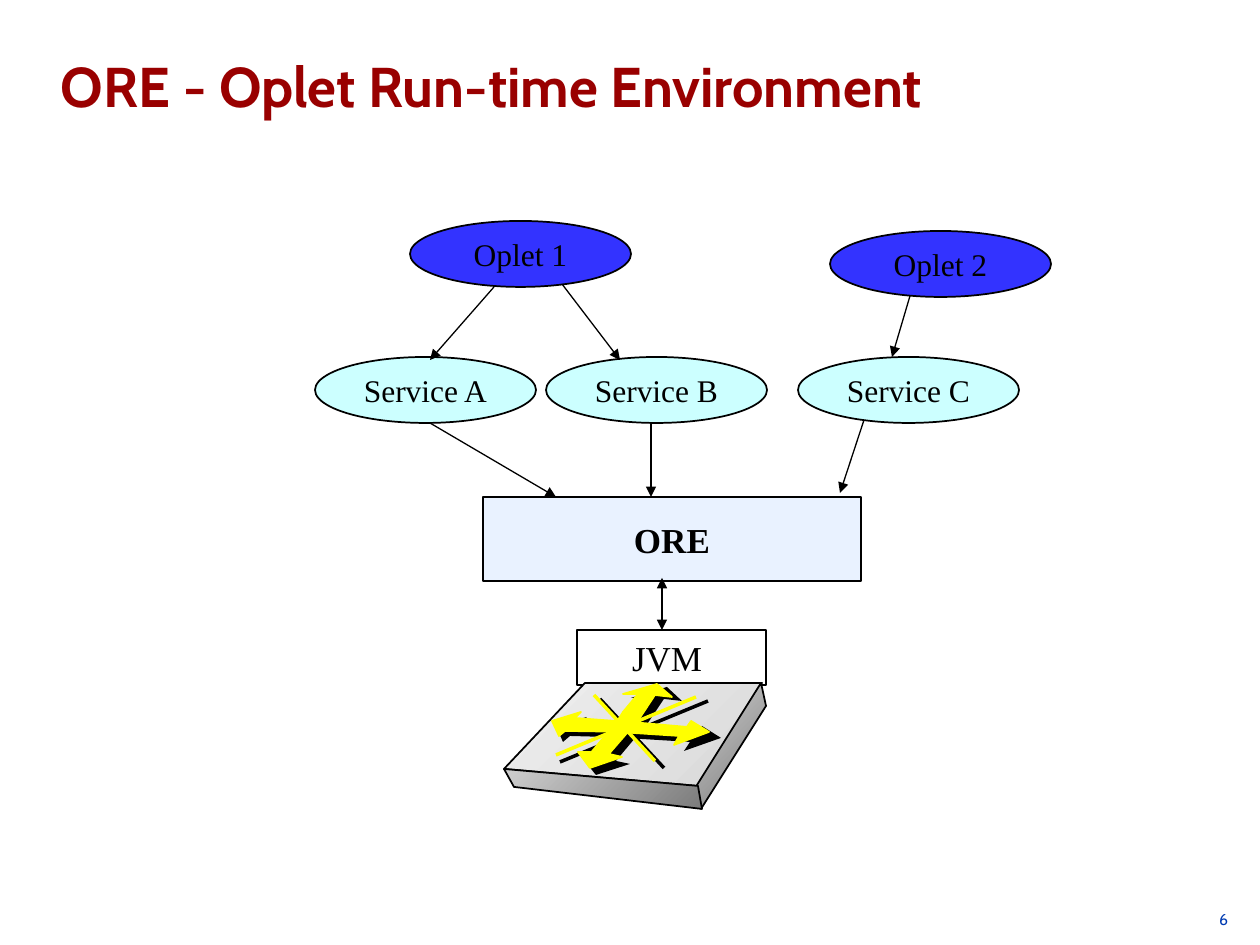
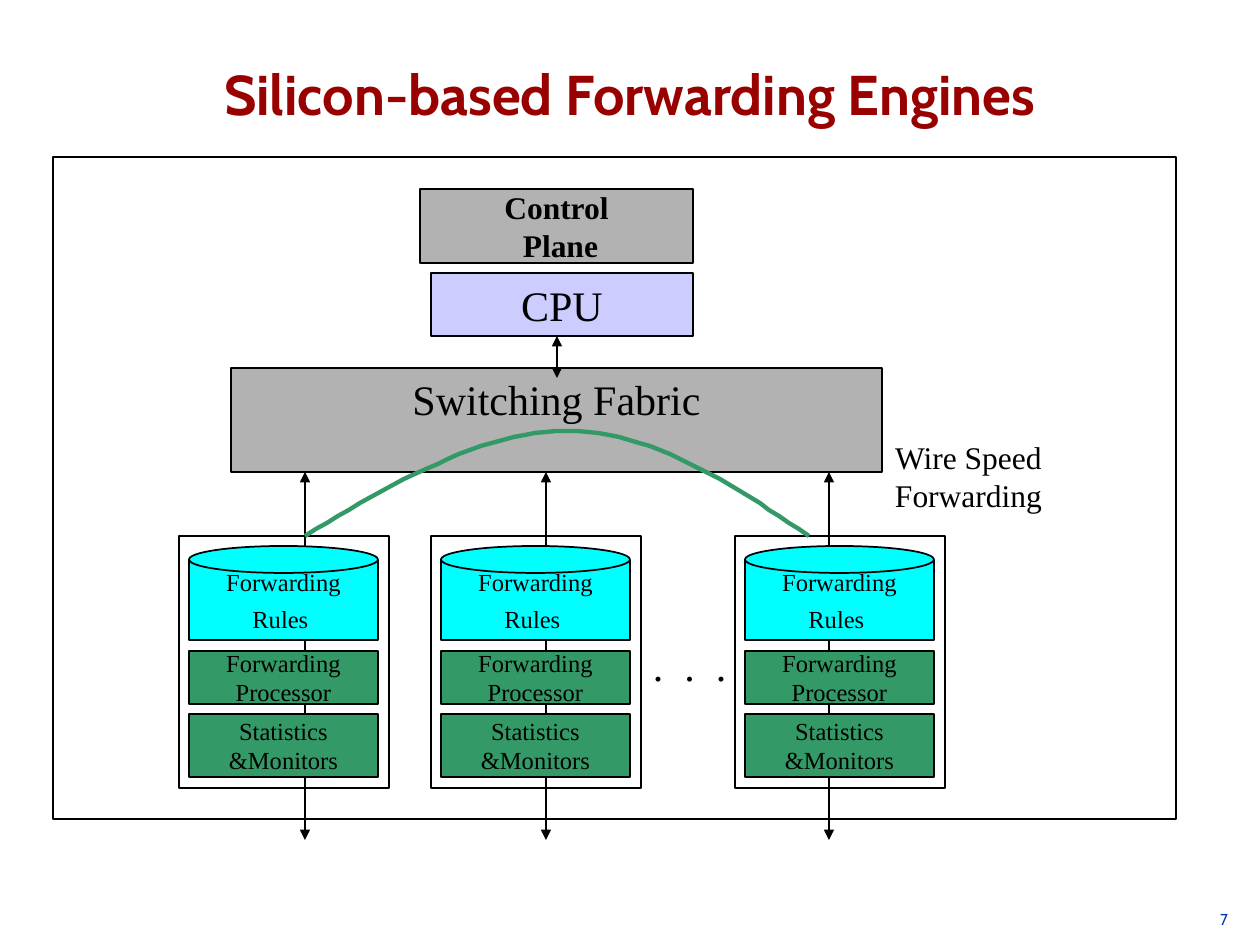
from lxml.etree import SubElement
from pptx import Presentation
from pptx.dml.color import RGBColor
from pptx.enum.shapes import MSO_CONNECTOR, MSO_SHAPE
from pptx.enum.text import MSO_ANCHOR, PP_ALIGN
from pptx.oxml.ns import qn
from pptx.util import Pt

SCALE = 914400 / 126  # EMU in one px
WIDE, HIGH = 1260, 945
HEX = {
    "title": "990000", "page": "003BB2", "black": "000000",
    "oplet": "3333FF", "service": "CCFFFF", "ore": "E9F2FF",
    "gray": "B2B2B2", "cpu": "CCCCFF", "rules": "00FFFF",
    "green": "339966", "yellow": "FFFF00",
}
LID, EDGE = ("F0F0F0", "D8D8D8"), ("CECECE", "7C7C7C")
HEAD, BODY = "Cabin", "Times New Roman"
ALIGN = {"l": PP_ALIGN.LEFT, "c": PP_ALIGN.CENTER, "r": PP_ALIGN.RIGHT}
ANCHOR = {"t": MSO_ANCHOR.TOP, "m": MSO_ANCHOR.MIDDLE, "b": MSO_ANCHOR.BOTTOM}


def emu(px):
    return round(px * SCALE)


def write(frame, text, size=18, font=BODY, color="black", bold=False, align="c",
          anchor="m", wrap=False, inset=(13, 6), lead=None, gap=0, track=0):
    """Fill a text frame, one paragraph for each line of text."""
    frame.word_wrap = wrap
    frame.vertical_anchor = ANCHOR[anchor]
    frame.margin_left = frame.margin_right = emu(inset[0])
    frame.margin_top = frame.margin_bottom = emu(inset[1])
    for i, line in enumerate(text.split("\n")):
        para = frame.add_paragraph() if i else frame.paragraphs[0]
        para.alignment = ALIGN[align]
        if lead:
            para.line_spacing = lead
        if i and gap:
            para.space_before = Pt(gap)
        run = para.add_run()
        run.text = line
        run.font.name, run.font.size, run.font.bold = font, Pt(size), bold
        run.font.color.rgb = RGBColor.from_string(HEX[color])
        if track:
            run.font._element.set("spc", str(track))


class Deck:
    def __init__(self):
        self.file = Presentation()
        self.file.slide_width, self.file.slide_height = emu(WIDE), emu(HIGH)
        self.shapes = None

    def page(self, num):
        self.shapes = self.file.slides.add_slide(self.file.slide_layouts[6]).shapes
        self.label((848, 910, 391, 21), str(num), size=9, font=HEAD, color="page",
                   align="r", anchor="t", wrap=True, inset=(11, 0))

    def title(self, box, text, **fmt):
        self.label(box, text, size=32, font=HEAD, color="title", bold=True,
                   wrap=True, **fmt)

    def label(self, box, text, **fmt):
        write(self.shapes.add_textbox(*map(emu, box)).text_frame, text, **fmt)

    def paint(self, shape, fill, line, width):
        shape.shadow.inherit = False
        if isinstance(fill, tuple):
            shape.fill.gradient()
            shape.fill.gradient_angle = 315
            for stop, shade in zip(shape.fill.gradient_stops, fill):
                stop.color.rgb = RGBColor.from_string(shade)
        elif fill:
            shape.fill.solid()
            shape.fill.fore_color.rgb = RGBColor.from_string(HEX[fill])
        else:
            shape.fill.background()
        if line:
            shape.line.color.rgb = RGBColor.from_string(HEX[line])
            shape.line.width = Pt(width)
        else:
            shape.line.fill.background()

    def form(self, kind, box, text="", fill=None, width=1, **fmt):
        shape = self.shapes.add_shape(kind, *map(emu, box))
        self.paint(shape, fill, "black", width)
        if text:
            write(shape.text_frame, text, **fmt)

    def rect(self, box, text="", **look):
        self.form(MSO_SHAPE.RECTANGLE, box, text, **look)

    def oval(self, box, text="", **look):
        self.form(MSO_SHAPE.OVAL, box, text, **look)

    def outline(self, dots, fill=None, line="black", width=1, close=True):
        pen = self.shapes.build_freeform(*dots[0], scale=SCALE)
        pen.add_line_segments(dots[1:], close=close)
        self.paint(pen.convert_to_shape(), fill, line, width)

    def line(self, start, end, color="black", width=1, tips=()):
        wire = self.shapes.add_connector(
            MSO_CONNECTOR.STRAIGHT, *map(emu, (*start, *end)))
        wire.line.color.rgb = RGBColor.from_string(HEX[color])
        wire.line.width = Pt(width)
        for tip in tips:
            SubElement(wire.line._get_or_add_ln(), qn(f"a:{tip}End"), type="triangle")
        SubElement(wire._element.spPr, qn("a:effectLst"))


ONE, BOTH = ("tail",), ("head", "tail")


def router(deck):
    # Box: lid, side and front
    deck.outline([(504, 769), (585, 683), (762, 683), (698, 786)], LID)
    deck.outline([(701, 809), (697, 785), (761, 683), (766, 706)], EDGE)
    deck.outline([(504, 769), (514, 787), (702, 809), (698, 786)], EDGE)
    arrows = [
        [(640, 735), (620, 733), (631, 717), (646, 698),
         (631, 698), (667, 687), (682, 701), (664, 699)],
        [(636, 737), (616, 736), (596, 761), (596, 759),
         (583, 759), (596, 775), (630, 764), (616, 761)],
        [(638, 727), (698, 732), (702, 726), (721, 738),
         (684, 751), (690, 742), (624, 738)],
        [(651, 728), (580, 723), (587, 717), (556, 726),
         (563, 742), (570, 736), (643, 738)],
    ]
    rays = [[(560, 762), (708, 701)], [(600, 699), (664, 768)]]

    def lift(dots):
        return [(round(552 + (x - 556) * 0.95), round(684 + (y - 687) * 0.95))
                for x, y in dots]

    # Black shade first, then the same marks lifted in yellow
    for color, edge, move in (("black", None, list), ("yellow", "yellow", lift)):
        for dots in arrows:
            deck.outline(move(dots), color, edge)
        for ray in rays:
            deck.line(*move(ray), color=color, width=2)


def ore_page(deck):
    deck.page(6)
    deck.title((48, 53, 1212, 106), "ORE - Oplet Run-time Environment",
               align="l", anchor="t", lead=0.9)
    # Runtime stack
    deck.rect((577, 630, 189, 55), "JVM ", size=20, width=0.75)
    router(deck)
    deck.rect((483, 497, 378, 84), "ORE", fill="ore", size=20, bold=True)
    # Services and oplets
    for x, name in ((315, "A"), (546, "B"), (798, "C")):
        deck.oval((x, 357, 221, 66), f"Service {name}", fill="service")
    for x, y, name in ((410, 221, "1"), (830, 231, "2")):
        deck.oval((x, y, 221, 66), f"Oplet {name}", fill="oplet")
    # Arrows
    for start, end in (((430, 423), (556, 497)), ((651, 423), (651, 497)),
                       ((872 - 8, 420), (840, 493)), ((494, 287), (430, 360)),
                       ((562, 284), (620, 360)), ((910, 296), (892, 357))):
        deck.line(start, end, width=0.75, tips=ONE)
    deck.line((662, 578), (662, 630), tips=BOTH)


def engine(deck, x):
    """One forwarding engine with its left edge at x."""
    deck.rect((x, 536, 210, 252), width=0.75)
    left, wide = x + 10, 189
    deck.rect((left, 651, wide, 53), "Forwarding\nProcessor", fill="green",
              width=0.75, size=14)
    deck.rect((left, 560, wide, 80), "Forwarding\nRules ", fill="rules",
              size=14, gap=4)
    deck.oval((left, 546, wide, 27), fill="rules")
    deck.rect((left, 714, wide, 63), "Statistics\n&Monitors", fill="green",
              width=0.75, size=14)


def bend(a, b, c, d, steps=24):
    """Points on a cubic curve from a to d."""
    for i in range(steps + 1):
        t = i / steps
        u = 1 - t
        yield tuple(u**3 * p + 3 * u * u * t * q + 3 * u * t * t * r + t**3 * s
                    for p, q, r, s in zip(a, b, c, d))


def engine_page(deck):
    deck.page(7)
    # Fabric, frame and traffic lines
    deck.rect((231, 368, 651, 104), "Switching Fabric", fill="gray", size=24,
              anchor="t")
    deck.rect((53, 157, 1123, 662))
    for x in (305, 829, 546):
        deck.line((x, 472), (x, 840), tips=BOTH)
    # Control
    deck.rect((431, 273, 262, 63), "CPU", fill="cpu", size=24)
    deck.line((557, 336), (557, 378), tips=BOTH)
    deck.rect((420, 189, 273, 74), "Control\n Plane", fill="gray", bold=True)
    deck.label((882, 432, 173, 88), "Wire Speed\nForwarding")
    # Engines
    for x in (431, 179, 735):
        engine(deck, x)
    deck.label((640, 634, 112, 63), ". . .", size=24, align="l", anchor="t",
               wrap=True, track=300)
    # Wire speed path
    rise = bend((305, 536), (393, 483), (483, 431), (567, 431))
    fall = bend((567, 431), (651, 431), (730, 483), (809, 536))
    deck.outline([*rise, *fall], line="green", width=2.5, close=False)
    deck.title((0, 42, 1260, 92), "Silicon-based Forwarding Engines",
               anchor="b", lead=0.93, inset=(6, 6))


def main():
    deck = Deck()
    ore_page(deck)
    engine_page(deck)
    deck.file.save("out.pptx")


if __name__ == "__main__":
    main()
